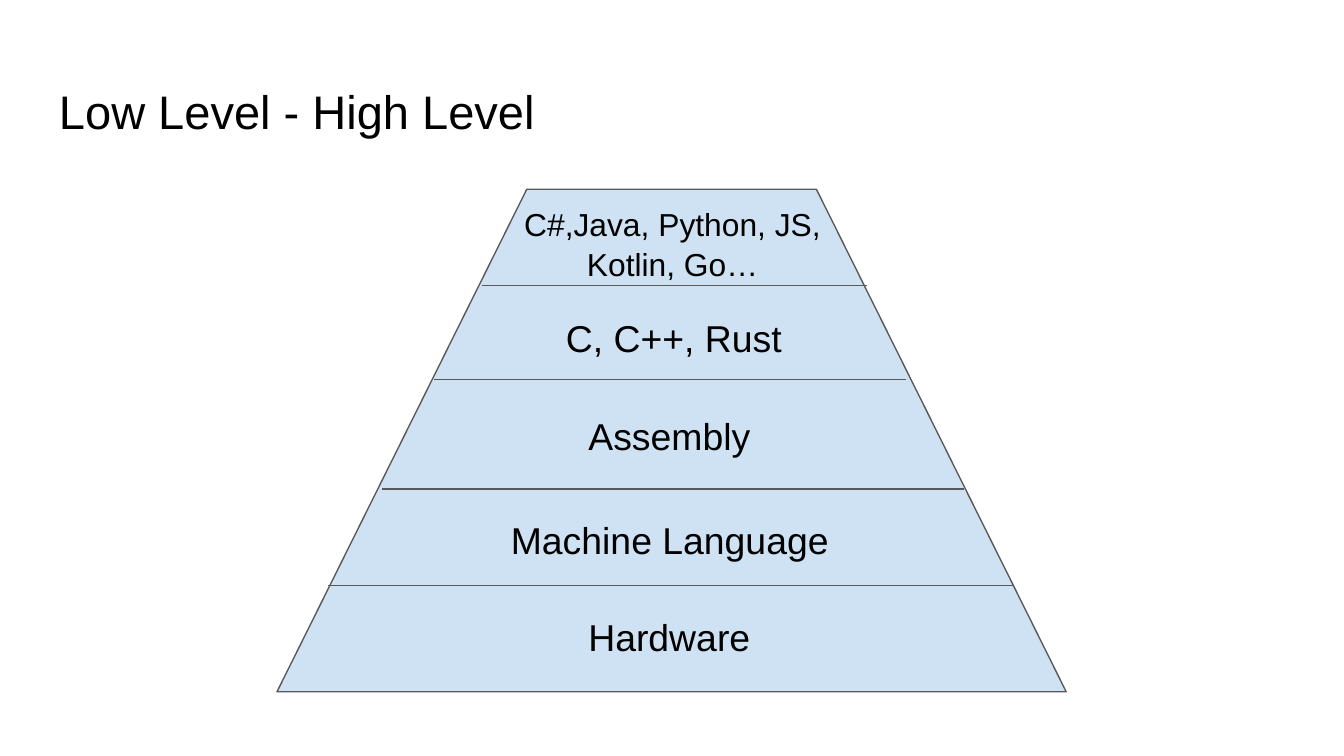
from lxml import etree
from pptx import Presentation
from pptx.dml.color import RGBColor
from pptx.enum.shapes import MSO_CONNECTOR, MSO_SHAPE
from pptx.enum.text import PP_ALIGN
from pptx.oxml.ns import qn
from pptx.util import Pt

TRAPEZOID = MSO_SHAPE.TRAPEZOID
STRAIGHT = MSO_CONNECTOR.STRAIGHT
LEFT, CENTER = PP_ALIGN.LEFT, PP_ALIGN.CENTER
FONT = "Arial"
BLACK, GREY, PALE_BLUE = "000000", "595959", "CFE2F3"

LEVELS = [
    ("C#,Java, Python, JS, Kotlin, Go…", 270, 101.5, 180.7, 55.4, 17),
    ("C, C++, Rust", 270.7, 160.6, 180.7, 38.9, 20),
    ("Assembly", 283.7, 213.1, 149.8, 38.9, 20),
    ("Machine Language", 255.6, 268.6, 206.6, 38.9, 20),
    ("Hardware", 283.7, 320.4, 149.8, 38.9, 20),
]
DIVIDERS = [
    (258, 464.4, 152.8),
    (232.4, 485.6, 203.4),
    (204.6, 516.4, 262),
    (175.8, 543, 313.8),
]


def color(hex_value):
    return RGBColor.from_string(hex_value)


def style_line(line):
    line.color.rgb = color(GREY)
    line.width = Pt(0.75)


def add_text(slide, text, left, top, width, height, *, size, align=LEFT):
    box = slide.shapes.add_textbox(Pt(left), Pt(top), Pt(width), Pt(height))
    frame = box.text_frame
    frame.word_wrap = True
    frame.margin_left = frame.margin_right = Pt(7.2)
    frame.margin_top = frame.margin_bottom = Pt(7.2)
    paragraph = frame.paragraphs[0]
    paragraph.text = text
    paragraph.alignment = align
    paragraph.line_spacing = 1.05
    paragraph.font.name = FONT
    paragraph.font.size = Pt(size)
    paragraph.font.color.rgb = color(BLACK)


def add_pyramid(slide, left, top, width, height):
    pyramid = slide.shapes.add_shape(
        TRAPEZOID, Pt(left), Pt(top), Pt(width), Pt(height))
    pyramid.adjustments[0] = 0.497
    pyramid.shadow.inherit = False
    pyramid.fill.solid()
    pyramid.fill.fore_color.rgb = color(PALE_BLUE)
    style_line(pyramid.line)


def add_divider(slide, start, end, y):
    divider = slide.shapes.add_connector(STRAIGHT, Pt(start), Pt(y), Pt(end), Pt(y))
    style_line(divider.line)
    etree.SubElement(divider._element.spPr, qn("a:effectLst"))


def main():
    deck = Presentation()
    deck.slide_width, deck.slide_height = Pt(720), Pt(405)
    slide = deck.slides.add_slide(deck.slide_layouts[6])
    add_text(slide, "Low Level - High Level", 24.5, 35.3, 671, 45.4, size=25.2)
    add_pyramid(slide, 148.4, 101.4, 422.8, 269.2)
    for start, end, y in DIVIDERS:
        add_divider(slide, start, end, y)
    for label, left, top, width, height, size in LEVELS:
        add_text(slide, label, left, top, width, height, size=size, align=CENTER)
    deck.save("out.pptx")


if __name__ == "__main__":
    main()
